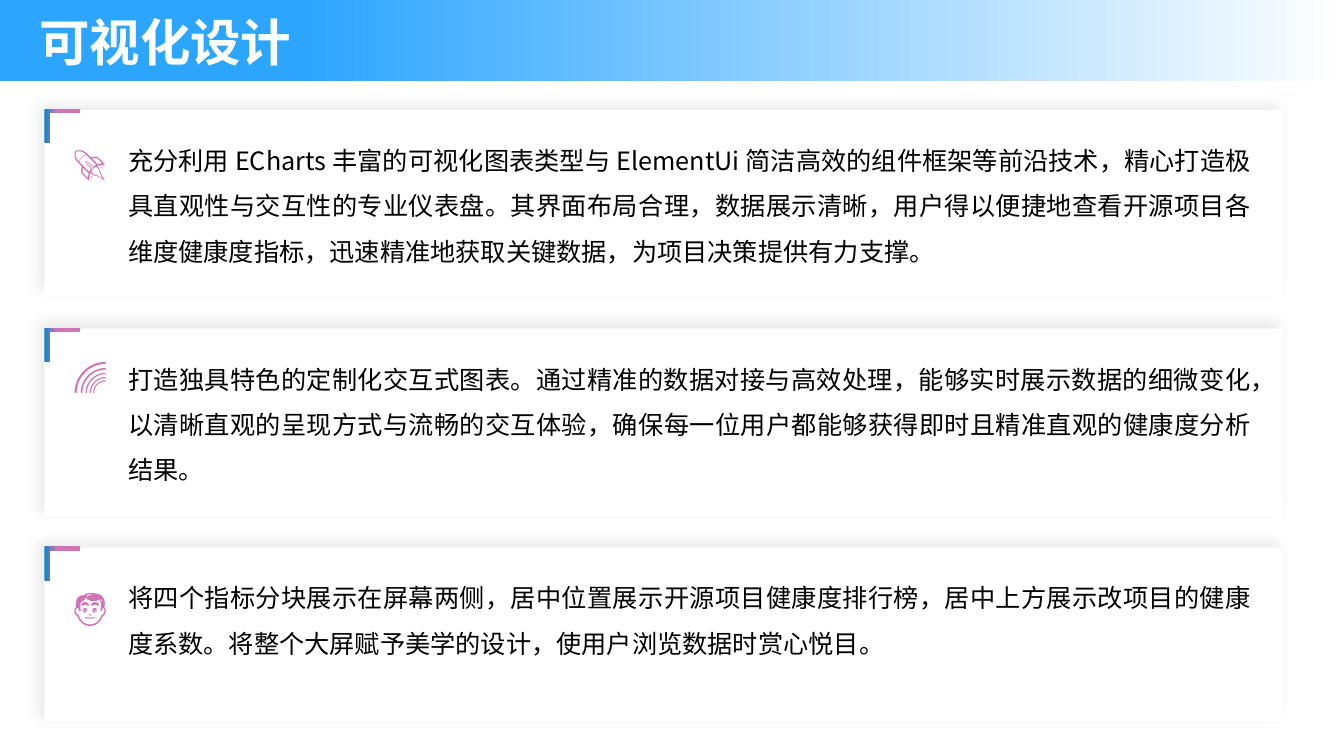
from lxml import etree
from pptx import Presentation
from pptx.dml.color import RGBColor
from pptx.enum import lang, shapes, text
from pptx.oxml import ns
from pptx import util as u

PX = 9144
FONT = "Noto Sans CJK SC"
WHITE = RGBColor(0xFF, 0xFF, 0xFF)
BLACK = RGBColor(0, 0, 0)
SKY = RGBColor(0x2C, 0xA5, 0xFF)
BLUE = RGBColor(0x13, 0x84, 0xCA)
PINK = RGBColor(0xD2, 0x73, 0xB5)

CARDS = [
    (109, 185, 136, "🚀", "充分利用 ECharts 丰富的可视化图表类型与 ElementUi 简洁高效的组件框架等前沿技术，精心打造极具直观性与交互性的专业仪表盘。其界面布局合理，数据展示清晰，用户得以便捷地查看开源项目各维度健康度指标，迅速精准地获取关键数据，为项目决策提供有力支撑。"),
    (326, 187, 346, "🌈", "打造独具特色的定制化交互式图表。通过精准的数据对接与高效处理，能够实时展示数据的细微变化，以清晰直观的呈现方式与流畅的交互体验，确保每一位用户都能够获得即时且精准直观的健康度分析结果。"),
    (543, 173, 576, "👨", "将四个指标分块展示在屏幕两侧，居中位置展示开源项目健康度排行榜，居中上方展示改项目的健康度系数。将整个大屏赋予美学的设计，使用户浏览数据时赏心悦目。"),
]


def paint_gradient(shape, *stops):
    shape.shadow.inherit = False
    shape.line.fill.background()
    shape.fill.gradient()
    shape.fill.gradient_angle = 0
    for stop, (position, color) in zip(shape.fill.gradient_stops, stops):
        stop.position = position
        stop.color.rgb = color


def add_text(parent, place, words, size, color, bold=False):
    box = parent.add_textbox(*(n * PX for n in place))
    box.text_frame.word_wrap = True
    para = box.text_frame.paragraphs[0]
    span = para.add_run()
    span.text = words
    span.font.color.rgb = color
    formats = {"name": FONT, "size": u.Pt(size), "bold": bold,
               "language_id": lang.MSO_LANGUAGE_ID.SIMPLIFIED_CHINESE}
    for key, value in formats.items():
        setattr(span.font, key, value)
    etree.SubElement(span._r.get_or_add_rPr(), ns.qn("a:ea"), typeface=FONT)
    return box.text_frame


deck = Presentation()
deck.slide_width, deck.slide_height = 1333 * PX, 750 * PX
page = deck.slides.add_slide(deck.slide_layouts[6])

banner = page.shapes.add_shape(shapes.MSO_SHAPE.RECTANGLE, 0, 0, 1333 * PX, 80 * PX)
paint_gradient(banner, (0.22, SKY), (1, WHITE))
title = add_text(page.shapes, (29, 6, 819, 71), "可视化设计", 36, WHITE, True)
title.auto_size = text.MSO_AUTO_SIZE.SHAPE_TO_FIT_TEXT

for top, height, icon_top, icon, words in CARDS:
    group = page.shapes.add_group_shape().shapes
    panel = group.add_shape(shapes.MSO_SHAPE.RECTANGLE,
                            44 * PX, top * PX, 1228 * PX, height * PX)
    panel.fill.solid()
    panel.fill.fore_color.rgb = WHITE
    panel.line.fill.background()
    panel.shadow.inherit = False
    effects = panel._element.spPr.find(ns.qn("a:effectLst"))
    shadow = etree.SubElement(effects, ns.qn("a:outerShdw"), blurRad=str(u.Pt(9)),
                              dist=str(u.Pt(6)), dir=str(225 * 60000), rotWithShape="0")
    tint = etree.SubElement(shadow, ns.qn("a:srgbClr"), val="808080")
    etree.SubElement(tint, ns.qn("a:alpha"), val="17000")

    outline = group.build_freeform(44, top - 1, scale=PX)
    outline.add_line_segments([(44 + x, top - 1 + y) for x, y in
                               [(35, 0), (35, 4), (5, 4), (5, 34), (0, 34)]])
    paint_gradient(outline.convert_to_shape(), (0.02, BLUE), (0.34, PINK))

    frame = add_text(group, (88, top + 20, 1153, 159), words, 18, BLACK)
    for side in ("left", "top", "right", "bottom"):
        setattr(frame, f"margin_{side}", 0)
    para = frame.paragraphs[0]
    para.alignment = text.PP_ALIGN.JUSTIFY
    para.line_spacing = 1.5
    para._p.get_or_add_pPr().set("marL", str(39 * PX))

    badge = add_text(page.shapes, (63, icon_top, 55, 50), icon, 24, PINK)
    badge.auto_size = text.MSO_AUTO_SIZE.SHAPE_TO_FIT_TEXT

deck.save("out.pptx")
